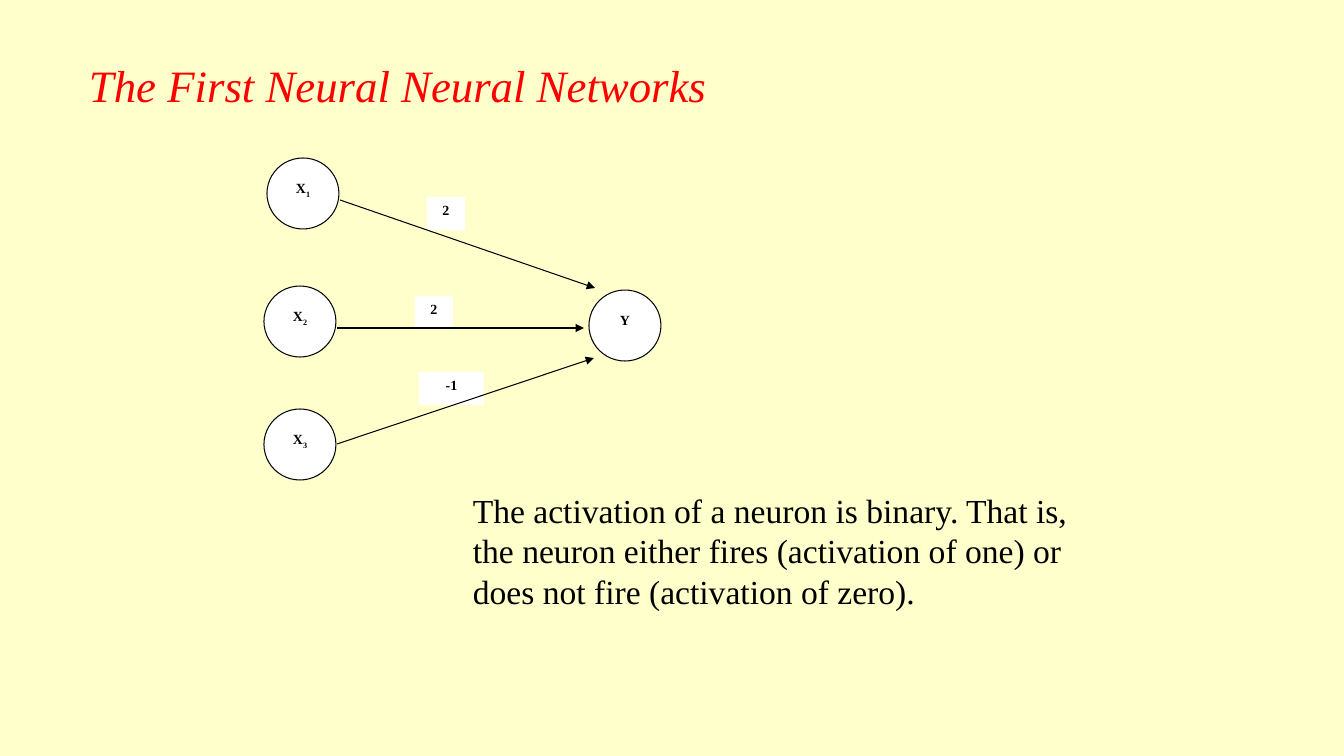
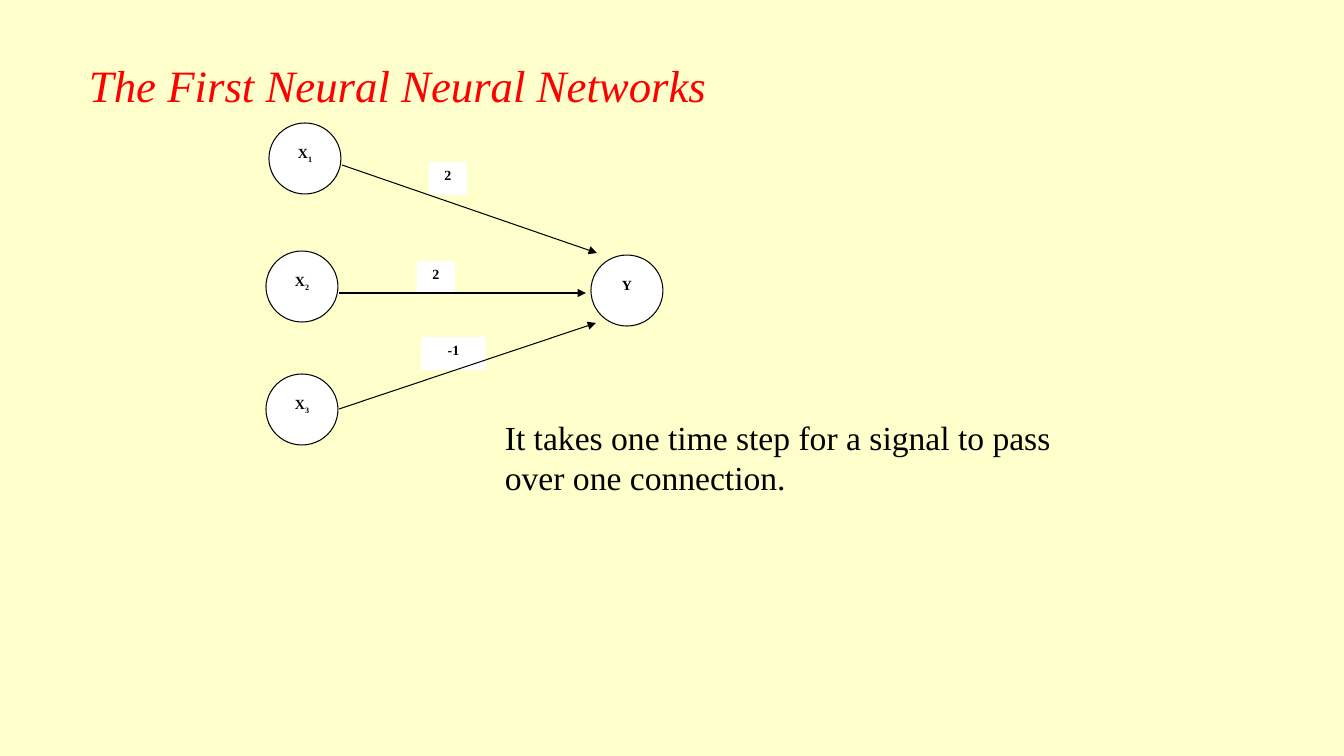
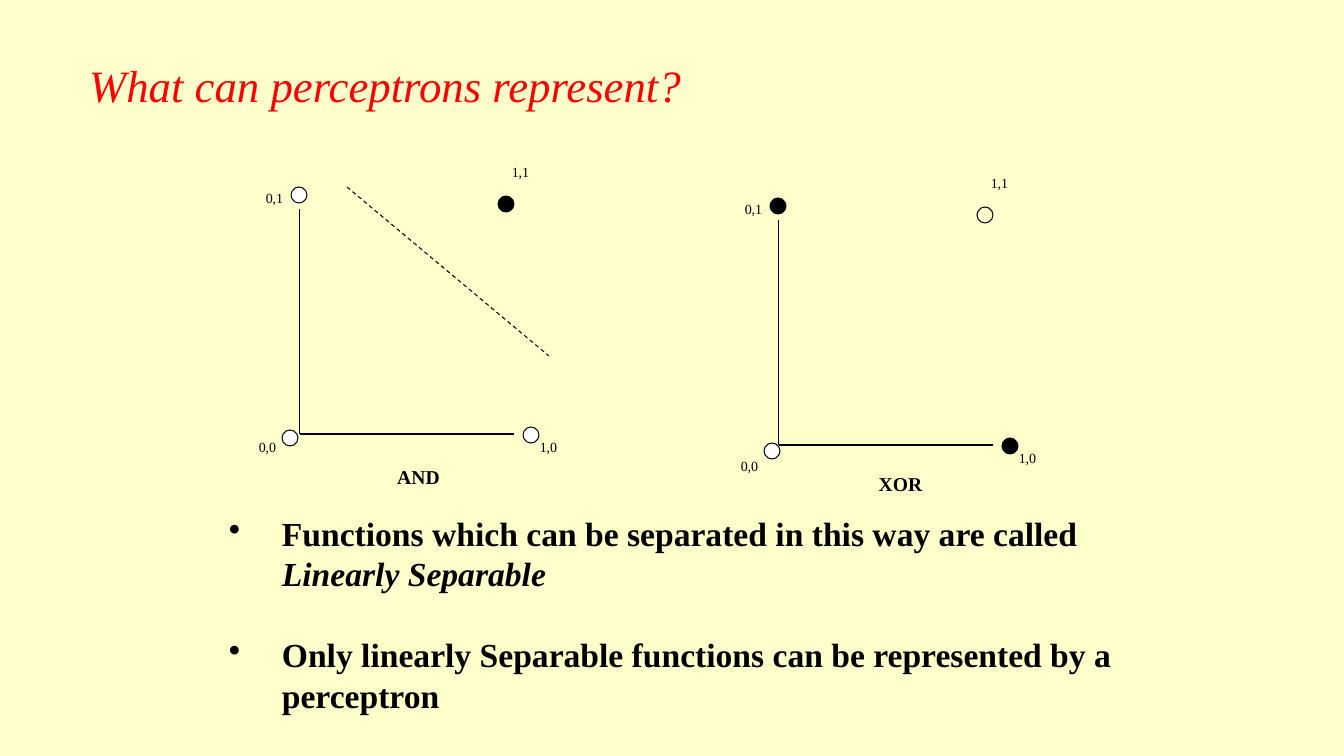
import pptx
import pptx.dml.color
import pptx.enum.dml
import pptx.enum.shapes
import pptx.enum.text
import pptx.oxml.ns
import pptx.util
from lxml import etree

PX = 914400 / 100.8
FONT = "Times New Roman"
CREAM = pptx.dml.color.RGBColor(0xFF, 0xFF, 0xCC)
RED = pptx.dml.color.RGBColor(0xFF, 0x00, 0x00)
BLACK = pptx.dml.color.RGBColor(0x00, 0x00, 0x00)
WHITE = pptx.dml.color.RGBColor(0xFF, 0xFF, 0xFF)
SHAPE = pptx.enum.shapes.MSO_SHAPE
ANCHOR = pptx.enum.text.MSO_ANCHOR
CENTER = pptx.enum.text.PP_ALIGN.CENTER
qn = pptx.oxml.ns.qn


def px(*lengths):
    return [pptx.util.Emu(round(length * PX)) for length in lengths]


class Lecture:
    """Holds the deck, its style and the slide being drawn."""

    def __init__(self):
        self.deck = pptx.Presentation()
        self.deck.slide_width, self.deck.slide_height = px(1344, 756)
        self.page = None

    def slide(self, title):
        self.page = self.deck.slides.add_slide(self.deck.slide_layouts[6])
        fill = self.page.background.fill
        fill.solid()
        fill.fore_color.rgb = CREAM
        box = self.text(79, 58, 1142, 58, title, 32, color=RED, italic=True)
        box.text_frame.vertical_anchor = ANCHOR.BOTTOM
        box.text_frame.paragraphs[0].space_after = pptx.util.Pt(3)

    def style(self, para, size, color=BLACK, bold=False, italic=None, align=None):
        para.alignment = align
        font = para.font
        font.name, font.size = FONT, pptx.util.Pt(size)
        font.bold, font.italic = bold, italic
        font.color.rgb = color

    def text(self, left, top, width, height, words, size, **look):
        box = self.page.shapes.add_textbox(*px(left, top, width, height))
        box.text_frame.word_wrap = True
        para = box.text_frame.paragraphs[0]
        para.add_run().text = words
        self.style(para, size, **look)
        return box

    def body(self, left, top, width, height, words):
        box = self.text(left, top, width, height, words, 24)
        box.text_frame.auto_size = pptx.enum.text.MSO_AUTO_SIZE.SHAPE_TO_FIT_TEXT

    def bullets(self, left, top, width, height, items):
        box = self.page.shapes.add_textbox(*px(left, top, width, height))
        frame = box.text_frame
        frame.word_wrap = True
        frame.auto_size = pptx.enum.text.MSO_AUTO_SIZE.SHAPE_TO_FIT_TEXT
        indent = px(53)[0]
        for index, (words, emphasis) in enumerate(items):
            para = frame.add_paragraph() if index else frame.paragraphs[0]
            props = para._p.get_or_add_pPr()
            props.set("marL", str(indent))
            props.set("indent", str(-indent))
            etree.SubElement(props, qn("a:buChar")).set("char", "•")
            self.style(para, 24, bold=True)
            if index:
                para.space_before = pptx.util.Pt(29)
            para.add_run().text = words
            if emphasis:
                span = para.add_run()
                span.text = emphasis
                span.font.italic = True

    def shape(self, kind, left, top, width, height, fill, outlined=True):
        shape = self.page.shapes.add_shape(kind, *px(left, top, width, height))
        shape.shadow.inherit = False
        if fill is None:
            shape.fill.background()
        else:
            shape.fill.solid()
            shape.fill.fore_color.rgb = fill
        if outlined:
            shape.line.color.rgb = BLACK
            shape.line.width = pptx.util.Pt(0.75)
        else:
            shape.line.fill.background()
        return shape

    def plate(self, left, top, width, height, words, subscript=""):
        plate = self.shape(SHAPE.RECTANGLE, left, top, width, height, WHITE, outlined=False)
        plate.text_frame.vertical_anchor = ANCHOR.TOP
        para = plate.text_frame.paragraphs[0]
        self.style(para, 10, bold=True, align=CENTER)
        para.add_run().text = words
        if subscript:
            span = para.add_run()
            span.text = subscript
            span._r.get_or_add_rPr().set("baseline", "-25000")

    def neuron(self, left, top, name, subscript=""):
        self.shape(SHAPE.OVAL, left, top, 72, 71, WHITE)
        self.plate(left + 9, top + 17, 54, 37, name, subscript)

    def line(self, x1, y1, x2, y2, arrow=False, dashed=False):
        line = self.page.shapes.add_connector(
            pptx.enum.shapes.MSO_CONNECTOR.STRAIGHT, *px(x1, y1, x2, y2))
        line.line.color.rgb = BLACK
        line.line.width = pptx.util.Pt(0.75)
        if dashed:
            line.line.dash_style = pptx.enum.dml.MSO_LINE.DASH
        props = line.element.spPr
        if arrow:
            etree.SubElement(props.find(qn("a:ln")), qn("a:tailEnd")).set("type", "triangle")
        etree.SubElement(props, qn("a:effectLst"))

    def network(self, x, y):
        self.plate(x + 155, y + 214, 65, 33, "-1")
        self.plate(x + 151, y + 138, 38, 33, "2")
        self.plate(x + 163, y + 39, 38, 33, "2")
        self.neuron(x + 3, y, "X", "1")
        self.neuron(x, y + 128, "X", "2")
        self.neuron(x, y + 251, "X", "3")
        self.neuron(x + 325, y + 132, "Y")
        for x1, y1, x2, y2 in [(76, 42, 331, 130), (73, 170, 320, 170), (73, 286, 330, 200)]:
            self.line(x + x1, y + y1, x + x2, y + y2, arrow=True)

    def plot(self, corner, origin_dot, origin_label, caption, name, fills):
        x, y = corner
        self.line(x, y - 225, x, y)
        self.line(x + 214, y, x, y)
        dots = [origin_dot, (x - 9, y - 247), (x + 223, y - 7), (x + 198, y - 238)]
        labels = [origin_label, (x - 66, y - 249), (x + 208, y), (x + 180, y - 275)]
        values = ["0,0", "0,1", "1,0", "1,1"]
        for dot, label, value, fill in zip(dots, labels, values, fills):
            self.text(*label, 81, 47, value, 10, align=CENTER)
            self.shape(SHAPE.OVAL, *dot, 16, 16, fill)
        self.text(*caption, 159, 53, name, 14, bold=True, align=CENTER)


def main():
    lecture = Lecture()

    lecture.slide("The First Neural Neural Networks")
    lecture.network(264, 158)
    lecture.body(463, 485, 629, 132,
                 "The activation of a neuron is binary. That is, the neuron either fires "
                 "(activation of one) or does not fire (activation of zero).")

    lecture.slide("The First Neural Neural Networks")
    lecture.network(266, 123)
    lecture.body(495, 412, 629, 92,
                 "It takes one time step for a signal to pass over one connection.")

    lecture.slide("What can perceptrons represent?")
    lecture.plot((300, 434), (282, 430), (227, 434), (339, 460), "AND",
                 [WHITE, WHITE, WHITE, BLACK])
    lecture.plot((779, 445), (764, 443), (709, 453), (821, 467), "XOR",
                 [WHITE, BLACK, BLACK, None])
    lecture.line(347, 187, 549, 356, dashed=True)
    lecture.bullets(219, 508, 932, 214, [
        ("Functions which can be separated in this way are called ", "Linearly Separable"),
        ("Only linearly Separable functions can be represented by a perceptron", ""),
    ])

    lecture.deck.save("out.pptx")


if __name__ == "__main__":
    main()
